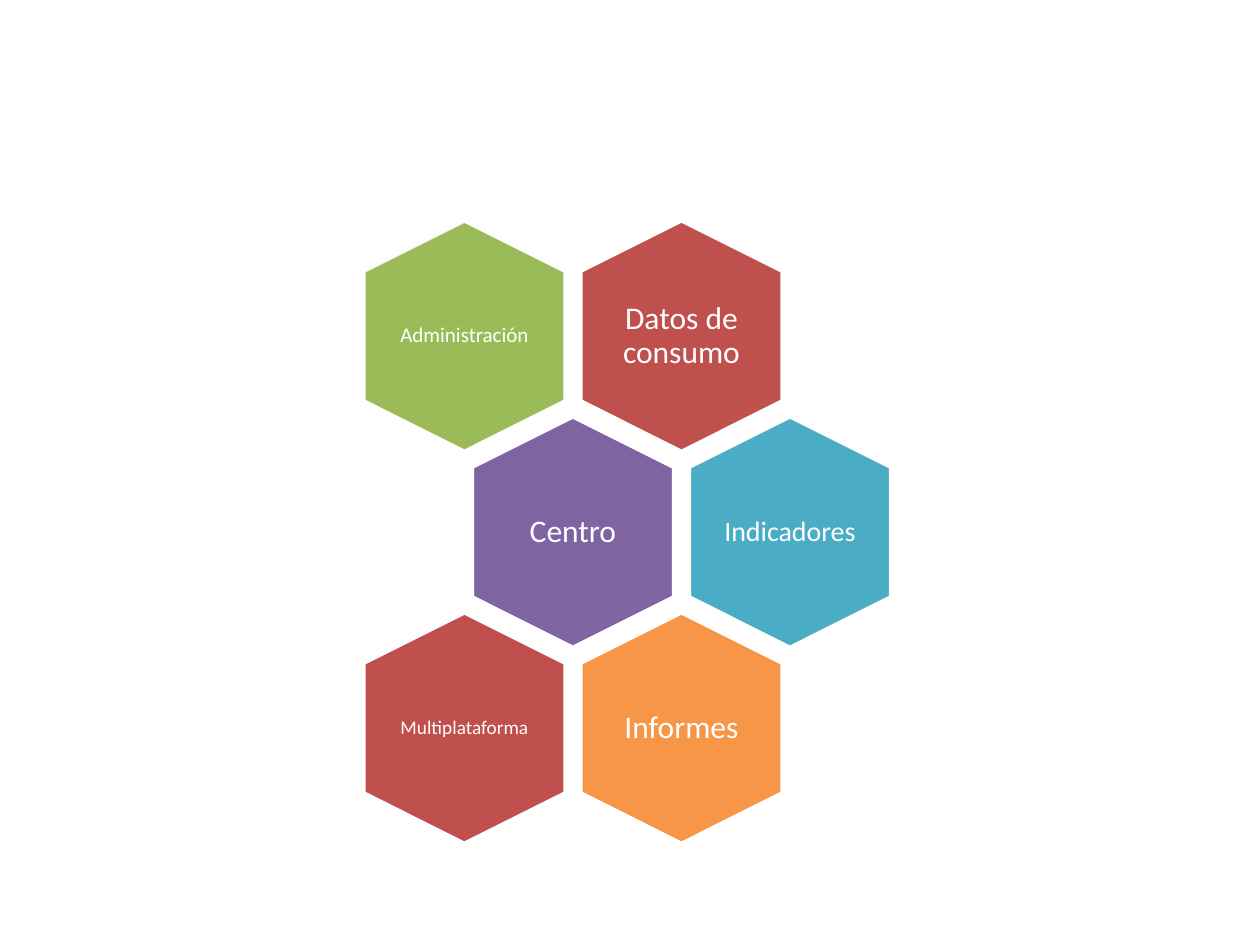
from dataclasses import dataclass

from pptx import Presentation
from pptx.dml.color import RGBColor
from pptx.enum.shapes import MSO_SHAPE
from pptx.enum.text import MSO_ANCHOR, PP_ALIGN
from pptx.slide import Slide
from pptx.util import Pt

HEXAGON = MSO_SHAPE.HEXAGON
MIDDLE = MSO_ANCHOR.MIDDLE
CENTER = PP_ALIGN.CENTER

WHITE = RGBColor(0xFF, 0xFF, 0xFF)
RED = RGBColor(0xC0, 0x50, 0x4D)
GREEN = RGBColor(0x9B, 0xBB, 0x59)
PURPLE = RGBColor(0x80, 0x64, 0xA2)
TEAL = RGBColor(0x4B, 0xAC, 0xC6)
ORANGE = RGBColor(0xF7, 0x96, 0x46)

FONT = "Calibri"
HEX_LENGTH, HEX_BREADTH = 131.7, 115
LABEL_WIDTH, LABEL_HEIGHT = 79, 90.6
FIRST_X, FIRST_Y = 265.4, 192.1
COLUMN_STEP, ROW_STEP = 124, 112


@dataclass(frozen=True)
class Cell:
    label: str
    row: int
    column: float
    color: RGBColor
    size: int = 18
    inset: float = 5


CELLS = [
    Cell("Datos de consumo", 0, 1, RED),
    Cell("Administración", 0, 0, GREEN, size=12, inset=0),
    Cell("Centro", 1, 0.5, PURPLE),
    Cell("Indicadores", 1, 1.5, TEAL, size=16, inset=0),
    Cell("Informes", 2, 1, ORANGE),
    Cell("Multiplataforma", 2, 0, RED, size=11, inset=0),
]


def centered(x: float, y: float, width: float, height: float) -> tuple[Pt, Pt, Pt, Pt]:
    return Pt(x - width / 2), Pt(y - height / 2), Pt(width), Pt(height)


def add_hexagon(page: Slide, x: float, y: float, color: RGBColor) -> None:
    hexagon = page.shapes.add_shape(HEXAGON, *centered(x, y, HEX_LENGTH, HEX_BREADTH))
    hexagon.rotation = 90
    hexagon.adjustments[0] = 0.25
    hexagon.adjustments[1] = 1.1547
    hexagon.shadow.inherit = False
    hexagon.fill.solid()
    hexagon.fill.fore_color.rgb = color
    hexagon.line.color.rgb = WHITE
    hexagon.line.width = Pt(2)


def add_label(page: Slide, x: float, y: float, text: str, *, size: int, inset: float) -> None:
    box = page.shapes.add_textbox(*centered(x, y, LABEL_WIDTH, LABEL_HEIGHT))
    frame = box.text_frame
    frame.word_wrap = True
    frame.vertical_anchor = MIDDLE
    frame.margin_left = frame.margin_right = Pt(inset)
    frame.margin_top = frame.margin_bottom = Pt(inset)
    para = frame.paragraphs[0]
    para.alignment = CENTER
    para.line_spacing = 0.9
    span = para.add_run()
    span.text = text
    span.font.name = FONT
    span.font.size = Pt(size)
    span.font.color.rgb = WHITE


def add_cell(page: Slide, cell: Cell) -> None:
    x = FIRST_X + cell.column * COLUMN_STEP
    y = FIRST_Y + cell.row * ROW_STEP
    add_hexagon(page, x, y, cell.color)
    add_label(page, x, y, cell.label, size=cell.size, inset=cell.inset)


def main() -> None:
    deck = Presentation()
    deck.slide_width, deck.slide_height = Pt(720), Pt(540)
    page = deck.slides.add_slide(deck.slide_layouts.get_by_name("Blank"))
    for cell in CELLS:
        add_cell(page, cell)
    deck.save("out.pptx")


if __name__ == "__main__":
    main()
